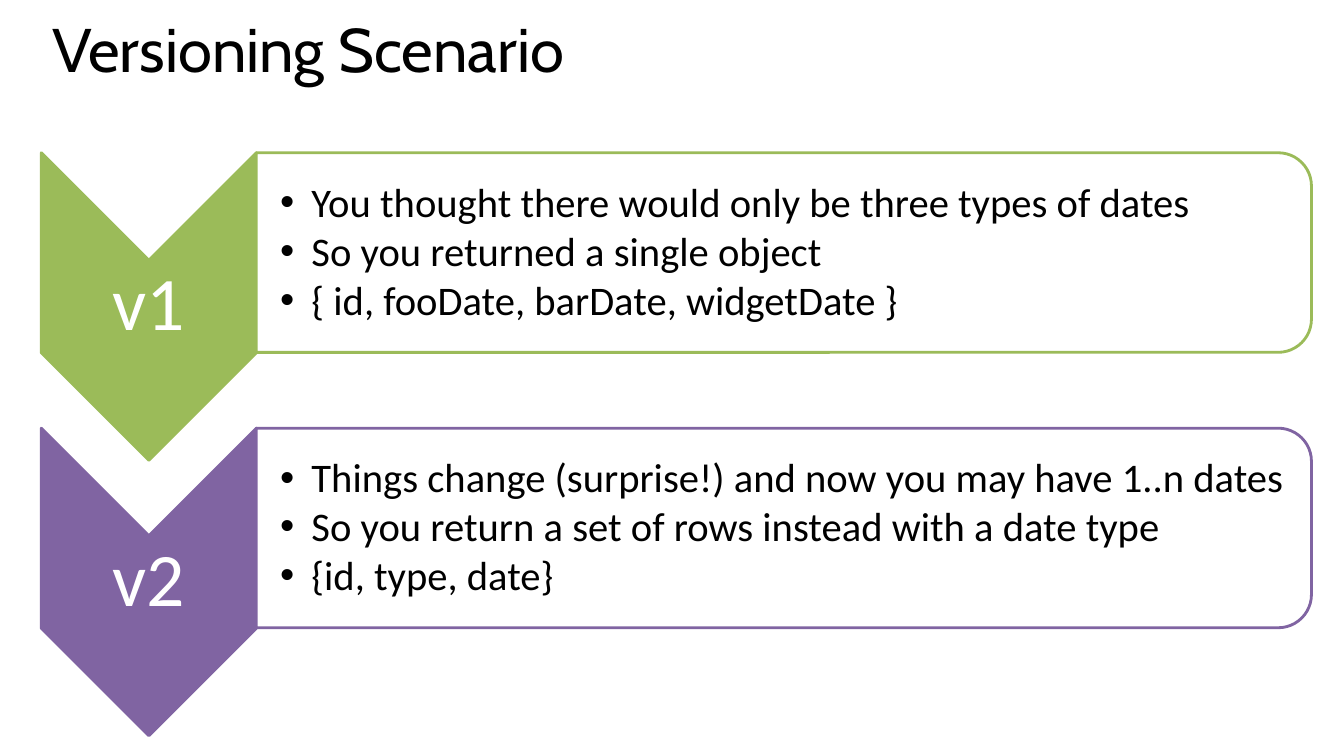
from dataclasses import dataclass

from lxml.etree import SubElement
from pptx import Presentation
from pptx.dml.color import RGBColor
from pptx.enum.shapes import MSO_SHAPE as Preset
from pptx.enum.text import MSO_ANCHOR as Anchor, PP_ALIGN as Align
from pptx.oxml.ns import qn
from pptx.util import Cm, Pt


@dataclass(frozen=True)
class Theme:
    """Colours, fonts and type sizes of the slide."""
    black: RGBColor = RGBColor(0x00, 0x00, 0x00)
    white: RGBColor = RGBColor(0xFF, 0xFF, 0xFF)
    green: RGBColor = RGBColor(0x9B, 0xBB, 0x59)
    purple: RGBColor = RGBColor(0x80, 0x64, 0xA2)
    title_font: str = "Cabin"
    body_font: str = "Calibri"
    title_size: Pt = Pt(44)
    label_size: Pt = Pt(54)
    bullet_size: Pt = Pt(29)
    outline: Pt = Pt(2)


THEME = Theme()
FIRST_TOP, ROW_STEP = 3.85, 6.94
VERSIONS = [
    ("v1", THEME.green, [
        "You thought there would only be three types of dates",
        "So you returned a single object",
        "{ id, fooDate, barDate, widgetDate }",
    ]),
    ("v2", THEME.purple, [
        "Things change (surprise!) and now you may have 1..n dates",
        "So you return a set of rows instead with a date type",
        "{id, type, date}",
    ]),
]


def add_text(slide, box, lines, font, size, color, insets, spacing=0.9, anchor=Anchor.MIDDLE):
    """Add a wrapped text box with one paragraph per line and return its paragraphs."""
    text_frame = slide.shapes.add_textbox(*map(Cm, box)).text_frame
    text_frame.word_wrap = True
    text_frame.vertical_anchor = anchor
    (text_frame.margin_left, text_frame.margin_top,
     text_frame.margin_right, text_frame.margin_bottom) = map(Cm, insets)
    text_frame.text = "\n".join(lines)
    for paragraph in text_frame.paragraphs:
        paragraph.line_spacing = spacing
        for run in paragraph.runs:
            run.font.name, run.font.size = font, size
            run.font.color.rgb = color
    return text_frame.paragraphs


def add_turned_shape(slide, preset, box, fill, line):
    """Add a shape turned a quarter clockwise so that it covers the given box."""
    left, top, width, height = box
    shift = (width - height) / 2
    shape = slide.shapes.add_shape(
        preset, Cm(left + shift), Cm(top - shift), Cm(height), Cm(width))
    shape.rotation = 90
    shape.shadow.inherit = False
    shape.fill.solid()
    shape.fill.fore_color.rgb = fill
    shape.line.color.rgb = line
    shape.line.width = THEME.outline


def add_bullet(paragraph):
    """Give a paragraph a round bullet with a hanging indent."""
    paragraph.space_after = Pt(3.6)
    properties = paragraph._p.get_or_add_pPr()
    properties.set("marL", str(Cm(0.79)))
    properties.set("indent", str(-Cm(0.79)))
    SubElement(properties, qn("a:buFont"), typeface="Arial")
    SubElement(properties, qn("a:buChar"), char="•")


def add_version(slide, top, label, color, points):
    """Add one row: a labelled chevron and its panel of bullets."""
    add_turned_shape(slide, Preset.CHEVRON, (1.04, top, 5.42, 7.75), color, color)
    label_paragraph, = add_text(
        slide, (1.04, top + 2.71, 5.42, 2.31), [label],
        THEME.body_font, THEME.label_size, THEME.white, (0.1,) * 4)
    label_paragraph.alignment = Align.CENTER
    add_turned_shape(slide, Preset.ROUND_2_SAME_RECTANGLE, (6.46, top, 26.59, 5.03),
                     THEME.white, color)
    for paragraph in add_text(
            slide, (6.48, top + 0.25, 26.37, 4.55), points,
            THEME.body_font, THEME.bullet_size, THEME.black, (0.58, 0.05, 0.05, 0.05)):
        add_bullet(paragraph)


def main():
    """Build the versioning slide and save it."""
    presentation = Presentation()
    presentation.slide_width, presentation.slide_height = Cm(33.87), Cm(19.05)
    slide = presentation.slides.add_slide(presentation.slide_layouts[6])
    add_text(slide, (1.07, 0.51, 32, 2.95), ["Versioning Scenario"],
             THEME.title_font, THEME.title_size, THEME.black,
             (0.25, 0.13, 0.25, 0.13), spacing=0.8, anchor=Anchor.TOP)
    for row, version in enumerate(VERSIONS):
        add_version(slide, FIRST_TOP + row * ROW_STEP, *version)
    presentation.save("out.pptx")


if __name__ == "__main__":
    main()
